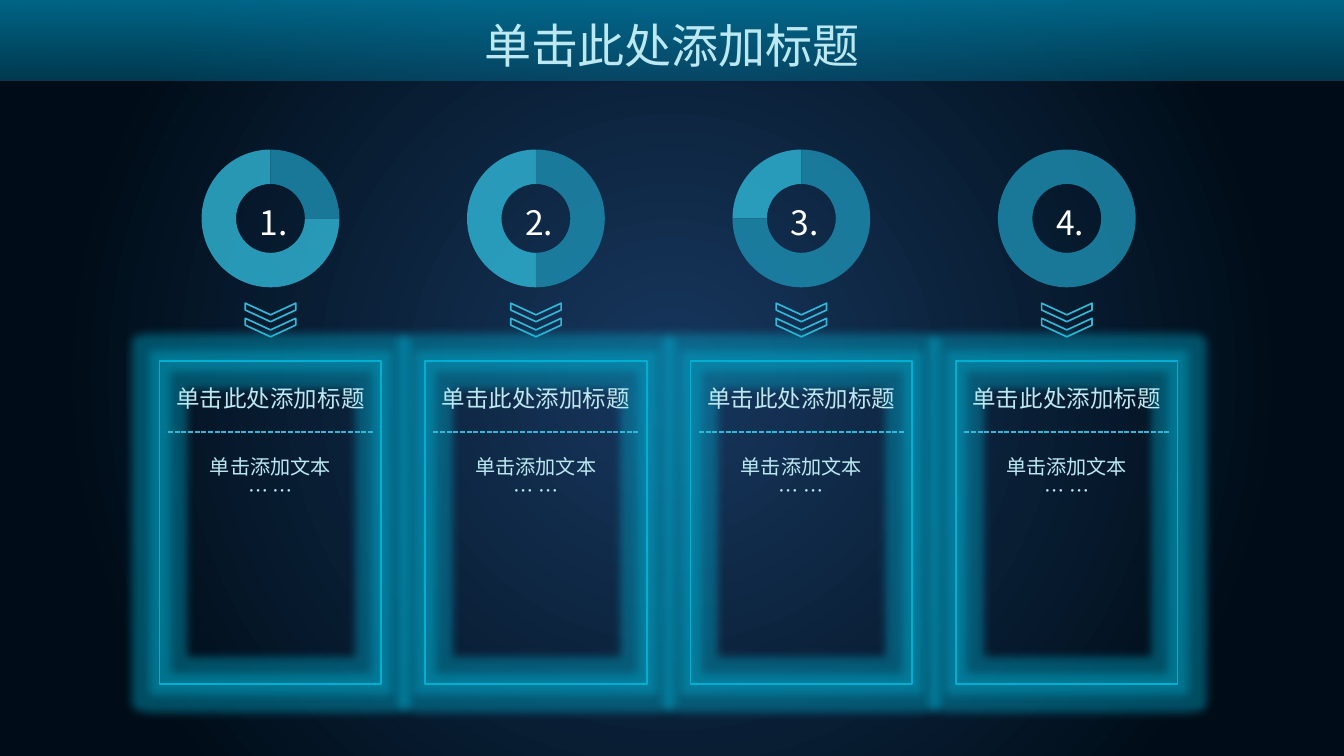
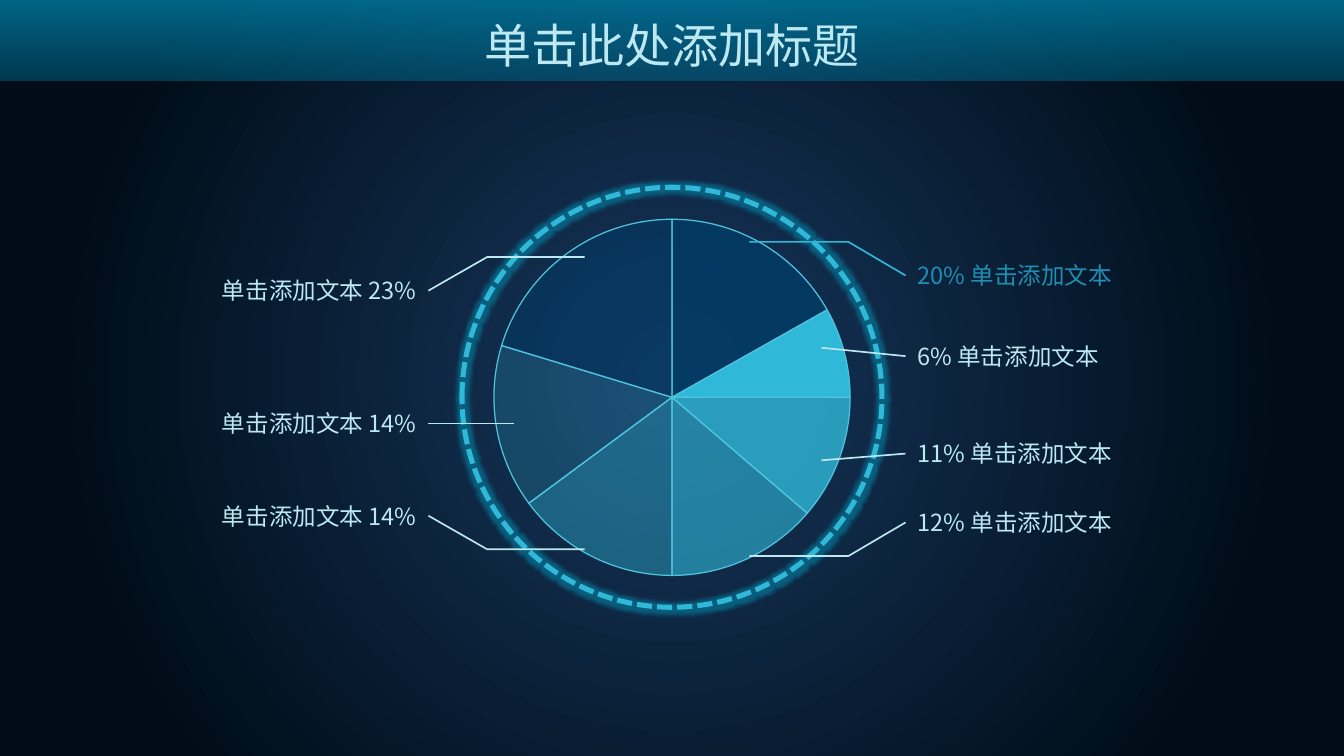
import pptx
import pptx.dml.color
import pptx.enum.dml
import pptx.enum.shapes
import pptx.enum.text
import pptx.oxml.ns
import pptx.util
from lxml import etree

Pt = pptx.util.Pt
RGB = pptx.dml.color.RGBColor
SHAPE = pptx.enum.shapes.MSO_SHAPE
ALIGN = pptx.enum.text.PP_ALIGN
DASH = pptx.enum.dml.MSO_LINE.SQUARE_DOT
qn = pptx.oxml.ns.qn

FONT = "Noto Sans CJK SC"
NAVY = RGB(0x17, 0x37, 0x5E)
NIGHT = RGB(0x00, 0x0D, 0x18)
BAND = RGB(0x00, 0x7D, 0xA4)
DEEP = RGB(0x00, 0x3C, 0x66)
TEAL = RGB(0x1E, 0x8F, 0xB2)
AQUA = RGB(0x30, 0xB8, 0xD8)
EDGE = RGB(0x00, 0xAF, 0xD2)
SKY = RGB(0x4E, 0xC3, 0xDE)
PALE = RGB(0xBC, 0xE8, 0xF2)
WHITE = RGB(0xFF, 0xFF, 0xFF)

WIDE, HIGH = 800, 450
HEAD = "单击此处添加标题"
BODY = "单击添加文本"


def fade(color, alpha):
    """Set the opacity, in percent, of a colour element."""
    etree.SubElement(color, qn("a:alpha")).set("val", str(alpha * 1000))


def blend(root, stops, angle=None):
    """Rewrite the gradient under root, linear with an angle, else round."""
    grad = root.find(".//" + qn("a:gradFill"))
    grad.clear()
    grad.set("rotWithShape", "1")
    group = etree.SubElement(grad, qn("a:gsLst"))
    for place, color, alpha in stops:
        stop = etree.SubElement(group, qn("a:gs"), pos=str(place * 1000))
        tint = etree.SubElement(stop, qn("a:srgbClr"), val=str(color))
        if alpha < 100:
            fade(tint, alpha)
    if angle is None:
        way = etree.SubElement(grad, qn("a:path"), path="circle")
        sides = dict.fromkeys("ltrb", "50000")
        etree.SubElement(way, qn("a:fillToRect"), **sides)
    else:
        etree.SubElement(grad, qn("a:lin"), ang=str(angle * 60000), scaled="0")


def paint(shape, fill=None, alpha=100, line=None, width=1):
    """Set the fill, opacity and outline of a shape."""
    shape.shadow.inherit = False
    if fill is None:
        shape.fill.background()
    else:
        shape.fill.solid()
        shape.fill.fore_color.rgb = fill
        if alpha < 100:
            fade(shape.element.spPr.find(qn("a:solidFill"))[0], alpha)
    if line is None:
        shape.line.fill.background()
    else:
        shape.line.color.rgb = line
        shape.line.width = Pt(width)
    return shape


def place(slide, kind, x, y, w, h, turns=()):
    """Add a preset shape with its adjustments."""
    shape = slide.shapes.add_shape(kind, Pt(x), Pt(y), Pt(w), Pt(h))
    for index, value in enumerate(turns):
        shape.adjustments[index] = value
    return shape


def glow(shape, color, size, alpha):
    """Add a soft halo to a shape."""
    effect = shape.element.spPr.find(qn("a:effectLst"))
    halo = etree.SubElement(effect, qn("a:glow"), rad=str(Pt(size)))
    fade(etree.SubElement(halo, qn("a:srgbClr"), val=str(color)), alpha)


def write(slide, x, y, w, h, lines, size, color=PALE, align=ALIGN.CENTER, pad=0):
    """Add a text box with one run to each paragraph."""
    box = slide.shapes.add_textbox(Pt(x), Pt(y), Pt(w), Pt(h))
    frame = box.text_frame
    frame.word_wrap = True
    frame.margin_left = frame.margin_right = Pt(pad)
    for index, text in enumerate(lines):
        para = frame.add_paragraph() if index else frame.paragraphs[0]
        para.alignment = align
        run = para.add_run()
        run.text = text
        run.font.name = FONT
        run.font.size = Pt(size)
        run.font.color.rgb = color
    for latin in list(box.element.iter(qn("a:latin"))):
        latin.addnext(latin.makeelement(qn("a:ea"), {"typeface": FONT}))
    return box


def link(slide, x1, y1, x2, y2, color, dash=None):
    """Add a thin straight line."""
    line = slide.shapes.add_connector(
        pptx.enum.shapes.MSO_CONNECTOR.STRAIGHT, Pt(x1), Pt(y1), Pt(x2), Pt(y2))
    line.line.color.rgb = color
    line.line.width = Pt(1)
    line.line.dash_style = dash
    etree.SubElement(line.element.spPr, qn("a:effectLst"))
    return line


def dress(deck, slide):
    """Give the master its backdrop and its top band."""
    master = deck.slide_master
    master.background.fill.gradient()
    blend(master.element, [(0, NAVY, 100), (80, NIGHT, 100), (100, NIGHT, 100)])
    band = paint(place(slide, SHAPE.RECTANGLE, 0, 0, WIDE, 48), BAND)
    band.fill.gradient()
    blend(band.element.spPr, [(0, BAND, 80), (100, BAND, 39)], 90)
    band.element.nvSpPr.cNvPr.set("id", "90")
    master.shapes.element.append(band.element)


def title(slide):
    """Write the slide title across the band."""
    box = write(slide, 248, 6, 304, 48, [HEAD], 28)
    box.text_frame.paragraphs[0].runs[0].font.fill.gradient()
    stops = [(0, SKY, 100), (40, PALE, 100), (60, PALE, 100), (100, SKY, 100)]
    blend(box.element, stops, 0)


def dial(slide, x, y, size, step):
    """Draw a ring filled by quarters, with its number."""
    if step == 4:
        paint(place(slide, SHAPE.DONUT, x, y, size, size, [0.25]), TEAL, 80)
    else:
        end = (270 + 90 * step) % 360
        for start, stop, color in ((end, 270, AQUA), (270, end, TEAL)):
            turns = [start * 0.6, stop * 0.6, 0.25]
            paint(place(slide, SHAPE.BLOCK_ARC, x, y, size, size, turns), color, 80)
    write(slide, x + 18, y + 27.5, 50, 32, [f"{step}."], 20, WHITE)


def arrows(slide, mid, y):
    """Draw two chevrons that point down."""
    for row in range(2):
        mark = place(slide, SHAPE.CHEVRON, mid - 5.5, y + 9 * row, 11, 30, [0.63])
        mark.rotation = 90
        paint(mark, line=AQUA)


def card(slide, x, y, w, h):
    """Draw a glowing frame with a heading, a rule and text."""
    frame = paint(place(slide, SHAPE.RECTANGLE, x, y, w, h), line=EDGE)
    glow(frame, EDGE, 11, 40)
    write(slide, x + 2, y + 52, w - 4, 36, [BODY, "… …"], 12)
    link(slide, x + 5, y + 42, x + w - 5, y + 42, AQUA, DASH)
    write(slide, x + 2, y + 10, w - 4, 24, [HEAD], 14)


def steps(slide):
    """Lay out the four steps in equal columns."""
    title(slide)
    for index in range(4):
        x = 95 + 158 * index
        dial(slide, x + 25, 89, 82, index + 1)
        arrows(slide, x + 66, 171)
        card(slide, x, 215, 132, 192)


def wheel(slide, x, y, size):
    """Draw the pie inside a dashed glowing ring."""
    cuts = [270, 330.6, 0, 40.6, 90, 143.5, 196.9, 270]
    looks = [(DEEP, 80), (AQUA, 100), (AQUA, 80), (AQUA, 60),
             (AQUA, 40), (AQUA, 20), (DEEP, 50)]
    inset = 19
    span = size - 2 * inset
    for start, stop, look in zip(cuts, cuts[1:], looks):
        turns = [start * 0.6, stop * 0.6]
        wedge = place(slide, SHAPE.PIE, x + inset, y + inset, span, span, turns)
        paint(wedge, *look, SKY, 0.75)
    ring = paint(place(slide, SHAPE.OVAL, x, y, size, size), line=AQUA, width=3)
    ring.line.dash_style = DASH
    glow(ring, EDGE, 5, 40)


def note(slide, left, mid, text, tip, knee=None, color=PALE, ink=PALE):
    """Write a label and draw its leader, bent if it has a knee."""
    x, edge, side, align = (68, 255, 3, ALIGN.RIGHT) if left else (539, 539, 1, ALIGN.LEFT)
    box = write(slide, x, mid - 12, 187, 24, [text], 14, ink, align, 7)
    if knee is None:
        link(slide, *tip, edge, mid, color).end_connect(box, side)
    else:
        path = slide.shapes.build_freeform(Pt(tip[0]), Pt(tip[1]))
        path.add_line_segments([(Pt(knee), Pt(tip[1])), (Pt(edge), Pt(mid))], close=False)
        paint(path.convert_to_shape(), line=color)


def shares(slide):
    """Lay out the pie and the labels on both sides."""
    wheel(slide, 275, 111.5, 250)
    title(slide)
    note(slide, True, 173, BODY + " 23%", (348, 153), 290)
    note(slide, True, 252, BODY + " 14%", (306, 252))
    note(slide, True, 307, BODY + " 14%", (348, 327), 290)
    note(slide, False, 164, "20% " + BODY, (446, 144), 505, AQUA, TEAL)
    note(slide, False, 212, "6% " + BODY, (489, 207))
    note(slide, False, 270, "11% " + BODY, (489, 274))
    note(slide, False, 311, "12% " + BODY, (446, 331), 505)


def main():
    """Build both slides and save the deck."""
    deck = pptx.Presentation()
    deck.slide_width, deck.slide_height = Pt(WIDE), Pt(HIGH)
    blank = deck.slide_layouts[6]
    first, second = (deck.slides.add_slide(blank) for _ in range(2))
    dress(deck, first)
    steps(first)
    shares(second)
    deck.save("out.pptx")


if __name__ == "__main__":
    main()
